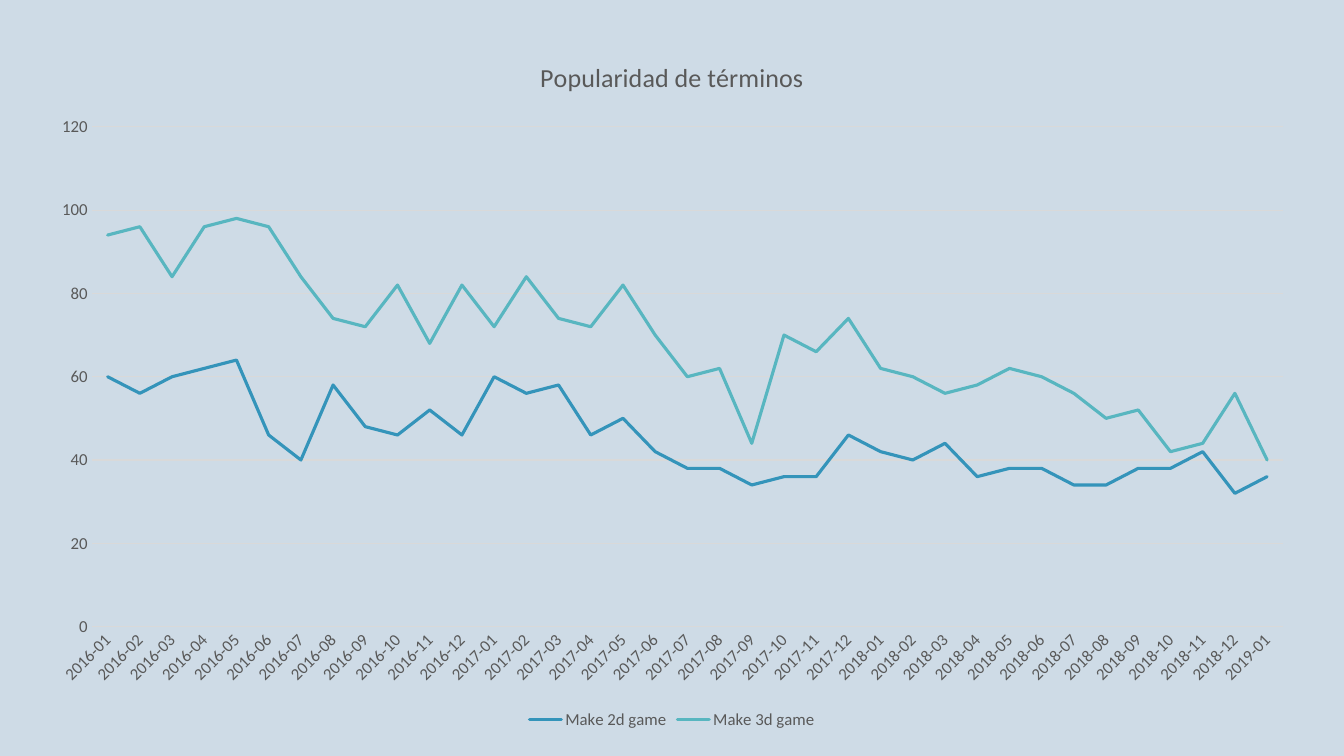
import pptx
import pptx.chart.data
import pptx.dml.color
import pptx.enum.chart
import pptx.util

COLORS = {"page": "CEDBE6", "text": "595959", "rule": "D9D9D9",
          "2d": "3494BA", "3d": "58B6C0"}
FONT = "Calibri"
TITLE = "Popularidad de términos"
FIRST_YEAR = 2016
SERIES = {
    "Make 2d game": ("2d", [
        60, 56, 60, 62, 64, 46, 40, 58, 48, 46, 52, 46,
        60, 56, 58, 46, 50, 42, 38, 38, 34, 36, 36, 46,
        42, 40, 44, 36, 38, 38, 34, 34, 38, 38, 42, 32, 36]),
    "Make 3d game": ("3d", [
        94, 96, 84, 96, 98, 96, 84, 74, 72, 82, 68, 82,
        72, 84, 74, 72, 82, 70, 60, 62, 44, 70, 66, 74,
        62, 60, 56, 58, 62, 60, 56, 50, 52, 42, 44, 56, 40]),
}


def rgb(name):
    """Return the named colour."""
    return pptx.dml.color.RGBColor.from_string(COLORS[name])


def apply(target, **values):
    """Set each attribute of target from the given format values."""
    for name, value in values.items():
        setattr(target, name, value)


def style_font(font, size):
    """Give chart text its typeface, size and colour."""
    apply(font, name=FONT, size=pptx.util.Pt(size), bold=False)
    font.color.rgb = rgb("text")


def style_line(line, color, width):
    """Give a line its colour and width in points."""
    line.color.rgb = rgb(color)
    line.width = pptx.util.Pt(width)


def popularity_data():
    """Pair the monthly labels with the values of each search term."""
    data = pptx.chart.data.CategoryChartData()
    months = max(len(values) for _, values in SERIES.values())
    data.categories = [f"{FIRST_YEAR + month // 12}-{month % 12 + 1:02}"
                       for month in range(months)]
    for name, (_, values) in SERIES.items():
        data.add_series(name, values)
    return data


def style_axes(chart):
    """Format the month axis, the value axis and the gridlines."""
    months, scores = chart.category_axis, chart.value_axis
    for axis in (months, scores):
        apply(axis, major_tick_mark=pptx.enum.chart.XL_TICK_MARK.NONE,
              minor_tick_mark=pptx.enum.chart.XL_TICK_MARK.NONE)
        style_font(axis.tick_labels.font, 12)
    style_line(months.format.line, "rule", 0.75)
    months._element.txPr.bodyPr.set("rot", str(-45 * 60000))
    apply(scores, minimum_scale=0, maximum_scale=120, major_unit=20,
          has_major_gridlines=True)
    scores.format.line.fill.background()
    style_line(scores.major_gridlines.format.line, "rule", 0.75)


def popularity_chart(page, box):
    """Draw the line chart with its title and legend in the box."""
    chart = page.shapes.add_chart(
        pptx.enum.chart.XL_CHART_TYPE.LINE, *box, popularity_data()).chart
    style_font(chart.font, 12)
    apply(chart, has_title=True, has_legend=True)
    heading = chart.chart_title.text_frame
    heading.text = TITLE
    style_font(heading.paragraphs[0].runs[0].font, 18.6)
    apply(chart.legend, include_in_layout=False,
          position=pptx.enum.chart.XL_LEGEND_POSITION.BOTTOM)
    style_font(chart.legend.font, 12)
    style_axes(chart)
    plot = chart.plots[0]
    plot.vary_by_categories = False
    for series, (color, _) in zip(plot.series, SERIES.values()):
        series.smooth = False
        series.marker.style = pptx.enum.chart.XL_MARKER_STYLE.NONE
        style_line(series.format.line, color, 2.25)
        series.format.line._get_or_add_ln().set("cap", "rnd")


def popularity_page(deck):
    """Add the page, filled by the chart inside an even margin."""
    page = deck.slides.add_slide(deck.slide_layouts[6])
    page.background.fill.solid()
    page.background.fill.fore_color.rgb = rgb("page")
    margin = pptx.util.Inches(0.35)
    bottom = pptx.util.Inches(0.22)
    popularity_chart(page, (margin, margin, deck.slide_width - 2 * margin,
                            deck.slide_height - margin - bottom))


deck = pptx.Presentation()
apply(deck, slide_width=pptx.util.Inches(13.33),
      slide_height=pptx.util.Inches(7.5))
popularity_page(deck)
deck.save("out.pptx")
